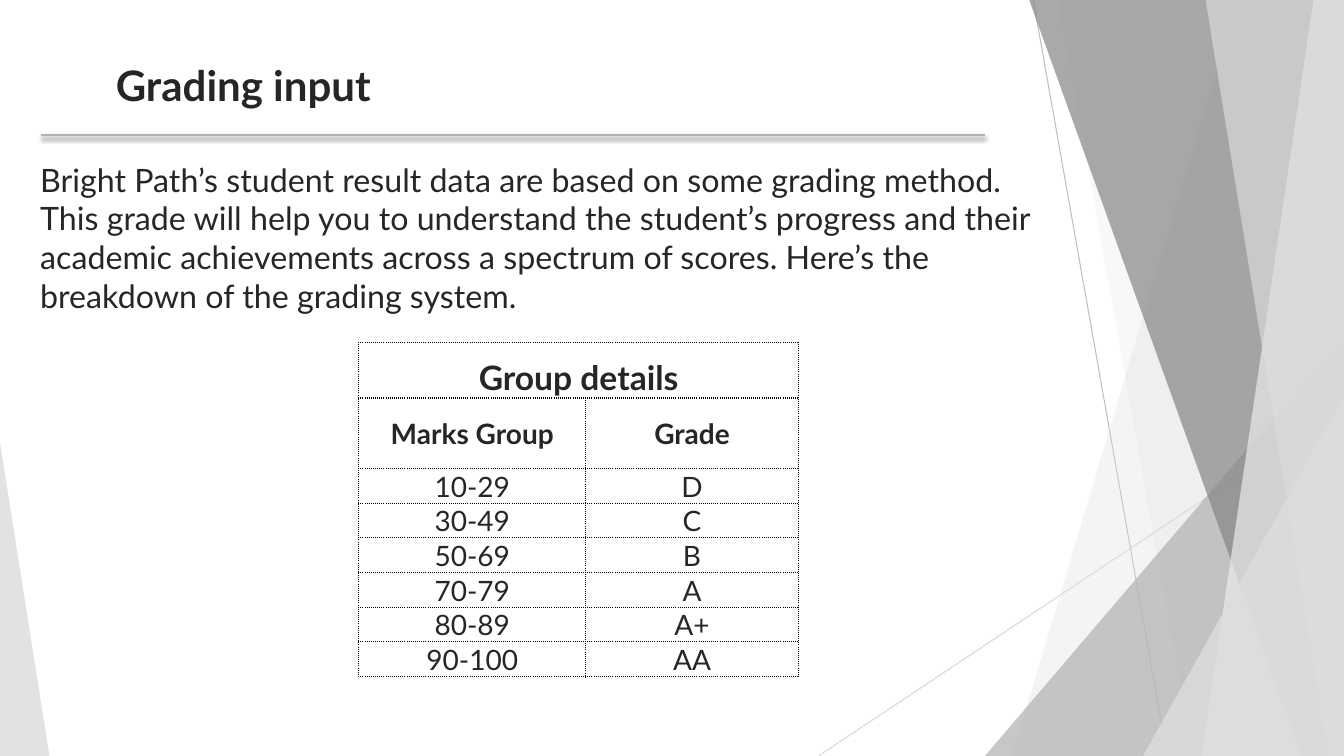
from lxml import etree
from pptx import Presentation
from pptx.dml.color import RGBColor
from pptx.enum.shapes import MSO_CONNECTOR as Connector, MSO_SHAPE as Shape
from pptx.enum.text import MSO_ANCHOR as Anchor, PP_ALIGN as Align
from pptx.oxml import parse_xml
from pptx.oxml.ns import nsdecls, qn
from pptx.util import Inches, Pt

FACETS = [
    (92.1, 75.3, "DDDDDD", 30),
    (78.75, 88.73, "DDDDDD", 20),
    (76.58, 96.83, "858585", 70),
    (97.73, 89.4, "EBEBEB", 70),
    (89.7, 98.85, "DDDDDD", 65),
]
GRADES = [("10-29", "D"), ("30-49", "C"), ("50-69", "B"),
          ("70-79", "A"), ("80-89", "A+"), ("90-100", "AA")]
INTRO = ("Bright Path’s student result data are based on some grading method. "
         "This grade will help you to understand the student’s progress and their "
         "academic achievements across a spectrum of scores. "
         "Here’s the breakdown of the grading system.")


def color(value):
    return RGBColor.from_string(value)


def put_text(tf, text, size=20, bold=False, align=Align.LEFT, font="Lato", ink="262626"):
    p = tf.paragraphs[0]
    p.alignment = align
    r = p.add_run()
    r.text = text
    r.font.size, r.font.bold, r.font.name = Pt(size), bold, font
    r.font.color.rgb = color(ink)


class Deck:
    """Draws styled elements on one slide, with lengths in percent of its size."""

    def __init__(self):
        self.prs = Presentation()
        self.prs.slide_width, self.prs.slide_height = Inches(13.33), Inches(7.5)
        self.s = self.prs.slides.add_slide(self.prs.slide_layouts[6])

    def x(self, share):
        return round(self.prs.slide_width * share / 100)

    def y(self, share):
        return round(self.prs.slide_height * share / 100)

    def box(self, left, top, width, height):
        return self.x(left), self.y(top), self.x(width), self.y(height)

    def paint(self, sp, fill, opacity):
        sp.shadow.inherit = False
        sp.line.fill.background()
        sp.fill.solid()
        sp.fill.fore_color.rgb = color(fill)
        srgb = sp._element.spPr.find(".//" + qn("a:srgbClr"))
        etree.SubElement(srgb, qn("a:alpha"), val=str(opacity * 1000))

    def facet(self, top_x, bottom_x, fill, opacity):
        builder = self.s.shapes.build_freeform(self.x(top_x), 0)
        corners = [(100, 0), (100, 100), (bottom_x, 100)]
        builder.add_line_segments([(self.x(x), self.y(y)) for x, y in corners])
        self.paint(builder.convert_to_shape(), fill, opacity)

    def triangle(self, left, top, width, apex, fill, opacity):
        sp = self.s.shapes.add_shape(Shape.ISOSCELES_TRIANGLE,
                                     *self.box(left, top, width, 100 - top))
        sp.adjustments[0] = apex
        self.paint(sp, fill, opacity)

    def line(self, x1, y1, x2, y2, ink, width, shadow=""):
        sp = self.s.shapes.add_connector(Connector.STRAIGHT, self.x(x1), self.y(y1),
                                         self.x(x2), self.y(y2))
        sp.line.color.rgb, sp.line.width = color(ink), Pt(width)
        sp._element.spPr.append(parse_xml(
            f'<a:effectLst {nsdecls("a")}>{shadow}</a:effectLst>'))

    def text(self, left, top, width, height, text, **style):
        tf = self.s.shapes.add_textbox(*self.box(left, top, width, height)).text_frame
        tf.word_wrap = True
        put_text(tf, text, **style)

    def cell(self, cell, text, anchor=Anchor.MIDDLE, **style):
        cell.fill.background()
        cell.vertical_anchor = anchor
        cell.margin_left = cell.margin_right = cell.margin_top = Inches(0.01)
        cell.margin_bottom = 0
        tc_pr = cell._tc.get_or_add_tcPr()
        for i, side in enumerate("LRTB"):
            tc_pr.insert(i, parse_xml(
                f'<a:ln{side} {nsdecls("a")} w="{Pt(1)}"><a:solidFill>'
                f'<a:srgbClr val="000000"/></a:solidFill>'
                f'<a:prstDash val="sysDot"/></a:ln{side}>'))
        put_text(cell.text_frame, text, align=Align.CENTER, **style)

    def table(self, left, top, widths, heights, rows, styles):
        table = self.s.shapes.add_table(
            len(heights), len(widths),
            *self.box(left, top, sum(widths), sum(heights))).table
        table.first_row = table.horz_banding = False
        for column, width in zip(table.columns, widths):
            column.width = self.x(width)
        for i, (values, height, style) in enumerate(zip(rows, heights, styles)):
            table.rows[i].height = self.y(height)
            for j, value in enumerate(values):
                self.cell(table.cell(i, j), value, **style)
        table.cell(0, 0).merge(table.cell(0, len(widths) - 1))


def main():
    deck = Deck()
    deck.line(76.88, 0, 86.85, 100, "BFBFBF", 0.75)
    deck.line(100, 53.73, 60.9, 100, "D9D9D9", 0.75)
    for facet in FACETS[:2]:
        deck.facet(*facet)
    deck.triangle(73.28, 44.4, 26.72, 1, "B2B2B2", 72)
    for facet in FACETS[2:]:
        deck.facet(*facet)
    deck.triangle(85.05, 52.4, 14.95, 1, "DDDDDD", 80)
    deck.triangle(0, 58.53, 3.68, 0, "DDDDDD", 85)

    deck.text(7.88, 7.2, 51.53, 8.13, "Grading input", size=30, bold=True)
    deck.text(2.25, 20.53, 76.2, 22, INTRO, size=23)
    deck.line(3.08, 17.87, 73.28, 17.87, "B2B2B2", 2, shadow=(
        f'<a:outerShdw blurRad="{Pt(3)}" dist="{Pt(2)}" dir="5400000" rotWithShape="0">'
        '<a:srgbClr val="000000"><a:alpha val="35000"/></a:srgbClr></a:outerShdw>'))

    rows = [("Group details", ""), ("Marks Group", "Grade"), *GRADES]
    styles = [dict(size=24, bold=True, anchor=Anchor.BOTTOM), dict(bold=True)]
    deck.table(26.7, 45.33, [16.88, 15.83], [7.33, 9.33] + [4.13] * len(GRADES),
               rows, styles + [{}] * len(GRADES))
    deck.prs.save("out.pptx")


if __name__ == "__main__":
    main()
